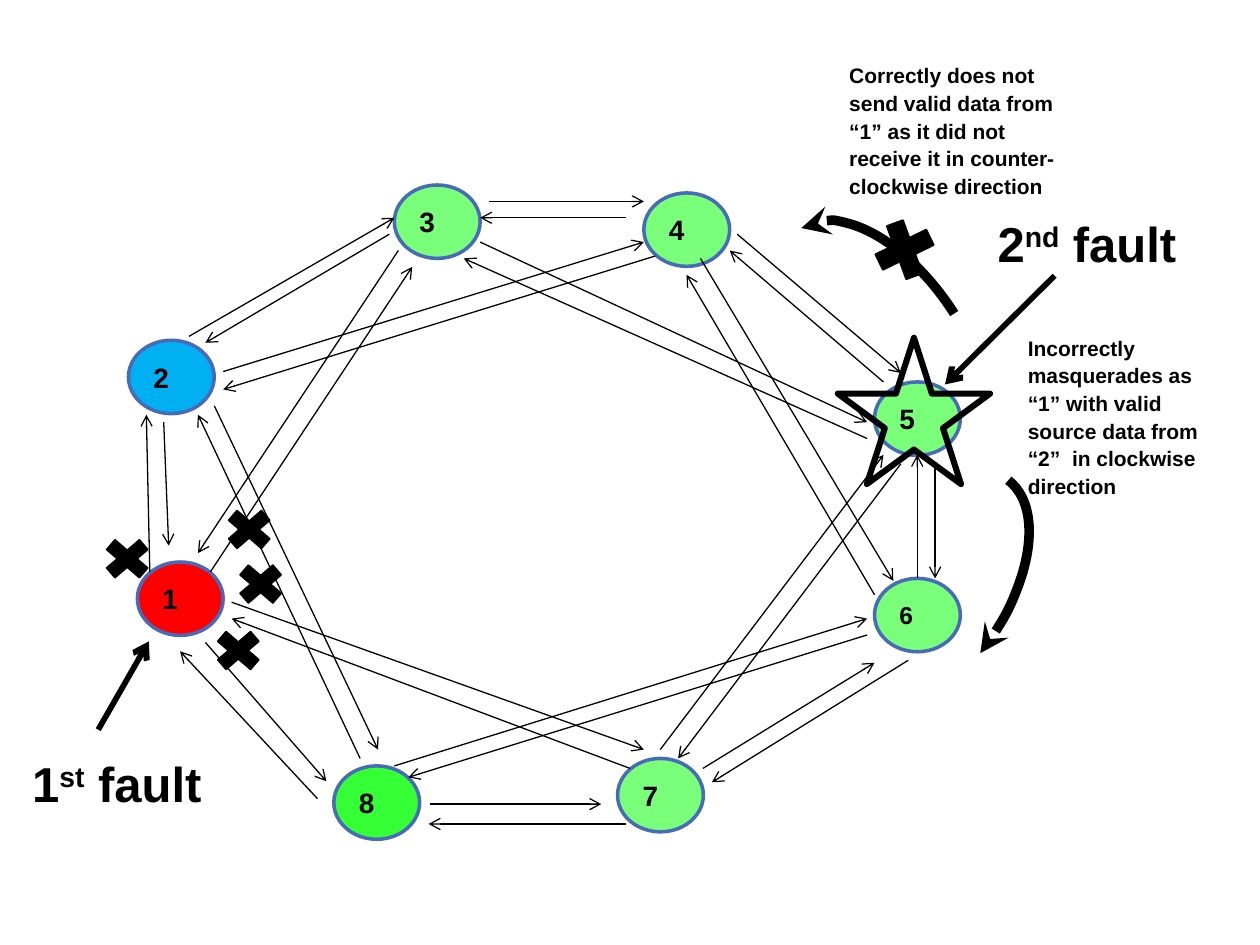
import pptx
import pptx.util
import pptx.dml.color
import pptx.enum.shapes
import pptx.enum.text
import pptx.oxml
import pptx.oxml.ns

Cm = pptx.util.Cm
Pt = pptx.util.Pt
SHAPE = pptx.enum.shapes.MSO_SHAPE
COLOURS = {
    "black": "000000", "outline": "486ABB", "red": "FF0000",
    "blue": "00B0F0", "green": "79FF79", "bright": "35FF35",
}
NODES = [
    ("1", 0.27, 7.83, "red", 16),
    ("2", 0.09, 3.36, "blue", 16),
    ("3", 5.45, 0.23, "green", 16),
    ("4", 10.48, 0.39, "green", 16),
    ("5", 15.13, 4.2, "green", 16),
    ("6", 15.13, 8.16, "green", 14),
    ("8", 4.23, 11.94, "bright", 16),
    ("7", 9.95, 11.79, "green", 16),
]
NEIGHBOUR_LINKS = [
    (1.31, 3.28, 5.45, 0.89), (5.35, 1.22, 1.64, 3.41),
    (7.36, 0.56, 10.48, 0.56), (10.12, 0.89, 7.18, 0.89),
    (12.36, 1.22, 15.66, 4.02), (15.31, 4.2, 12.21, 1.55),
    (16.35, 5.85, 16.35, 8.16), (15.99, 8.16, 15.99, 5.67),
    (15.81, 9.81, 11.85, 12.27), (11.67, 11.99, 15.13, 9.86),
    (10.12, 13.11, 6.14, 13.11), (6.16, 12.71, 9.62, 12.71),
    (3.9, 12.6, 1.13, 9.63), (1.64, 9.45, 4.08, 12.25),
    (0.52, 8.03, 0.45, 4.86), (0.8, 5.01, 0.9, 7.5),
]
SKIP_LINKS = [
    (2, 3.99, 10.48, 1.38), (10.71, 1.66, 2, 4.35),
    (1.82, 4.68, 5.12, 11.61), (4.76, 11.79, 1.49, 4.86),
    (5.53, 1.55, 1.49, 7.65), (1.74, 8.03, 5.81, 1.88),
    (2.17, 8.64, 10.48, 11.61), (10.2, 11.99, 2.17, 8.97),
    (7.18, 1.38, 14.98, 5.01), (14.98, 5.34, 6.85, 1.71),
    (11.62, 1.71, 15.51, 8.21), (15.13, 8.49, 11.34, 2.04),
    (15.66, 5.85, 11.17, 11.79), (10.81, 11.61, 15.31, 5.67),
    (14.98, 9.3, 5.73, 12.17), (5.45, 11.94, 14.98, 8.97),
]


def colour(name):
    return pptx.dml.color.RGBColor.from_string(COLOURS[name])


def add_child(parent, tag, **attributes):
    child = pptx.oxml.parse_xml(f"<a:{tag} {pptx.oxml.ns.nsdecls('a')}/>")
    for key, value in attributes.items():
        child.set(key, value)
    parent.append(child)


def write_text(para, text, size=12, raised=False):
    span = para.add_run()
    span.text = text
    span.font.name = "Arial"
    span.font.size = Pt(size)
    span.font.bold = True
    span.font.color.rgb = colour("black")
    if raised:
        span.font._element.set("baseline", "30000")


def add_shape(page, kind, box, fill=None, line="black", width=1, turn=0):
    shape = page.shapes.add_shape(kind, *map(Cm, box))
    shape.shadow.inherit = False
    shape.rotation = turn
    if fill:
        shape.fill.solid()
        shape.fill.fore_color.rgb = colour(fill)
    else:
        shape.fill.background()
    shape.line.color.rgb = colour(line)
    shape.line.width = Pt(width)
    return shape


def add_arrow(page, left, top, ends, width=0.75):
    x1, y1, x2, y2 = ends
    arrow = page.shapes.add_connector(
        pptx.enum.shapes.MSO_CONNECTOR.STRAIGHT,
        Cm(left + x1), Cm(top + y1), Cm(left + x2), Cm(top + y2))
    arrow.line.color.rgb = colour("black")
    arrow.line.width = Pt(width)
    add_child(arrow.line._get_or_add_ln(), "tailEnd", type="arrow")
    add_child(arrow._element.spPr, "effectLst")


def add_arc(page, box, turn, end):
    arc = add_shape(page, SHAPE.ARC, box, width=5.5, turn=turn)
    add_child(arc.line._get_or_add_ln(), end, type="stealth")


def add_label(page, box, paragraphs, wrap=True):
    frame = page.shapes.add_textbox(*map(Cm, box)).text_frame
    frame.word_wrap = wrap
    frame.auto_size = pptx.enum.text.MSO_AUTO_SIZE.SHAPE_TO_FIT_TEXT
    for index, spans in enumerate(paragraphs):
        para = frame.add_paragraph() if index else frame.paragraphs[0]
        para.line_spacing = 1.1
        for text, options in spans:
            write_text(para, text, **options)


def add_fault_label(page, box, number, suffix):
    spans = [(number, {"size": 28}), (suffix, {"size": 28, "raised": True}),
             (" fault", {"size": 28})]
    add_label(page, box, [spans], wrap=False)


def add_node(page, box, number, fill, size):
    node = add_shape(page, SHAPE.OVAL, box, fill, "outline", 2)
    frame = node.text_frame
    frame.vertical_anchor = pptx.enum.text.MSO_ANCHOR.MIDDLE
    para = frame.paragraphs[0]
    para.alignment = pptx.enum.text.PP_ALIGN.LEFT
    write_text(para, number, size=size)


def build_ring(page, left, top):
    for number, x, y, fill, size in NODES:
        add_node(page, (left + x, top + y, 1.73, 1.48), number, fill, size)
    for ends in NEIGHBOUR_LINKS + SKIP_LINKS:
        add_arrow(page, left, top, ends)


def build_first_fault(page, left, top):
    for x, y in [(1.53, 0.72), (3.99, 0.13), (4.22, 1.23), (3.77, 2.57)]:
        add_shape(page, SHAPE.MATH_MULTIPLY,
                  (left + x, top + y, 1.27, 1.09), "black")
    add_fault_label(page, (left, top + 4.94, 4.09, 1.57), "1", "st")
    add_arrow(page, left, top, (1.58, 4.71, 2.6, 2.93), 3.25)


def build_second_fault(page, left, top):
    add_fault_label(page, (left + 3.86, top + 3.06, 4.29, 1.68), "2", "nd")
    add_arrow(page, left, top, (5.26, 4.56, 3.05, 6.75), 3.25)
    add_label(page, (left + 4.47, top + 5.58, 4.52, 3.91), [
        [("Incorrectly masquerades as", {})],
        [("“1” with valid source data from “2”  in clockwise direction", {})],
    ])
    add_shape(page, SHAPE.STAR_5_POINT,
              (left + 0.89, top + 5.81, 3.07, 2.95), width=3.5)
    add_arc(page, (left + 0.76, top + 8.04, 3.35, 6.22), 37.5, "tailEnd")
    add_arc(page, (left + 0.15, top + 3.11, 3.35, 6.22), 327.5, "headEnd")
    add_shape(page, SHAPE.MATH_MULTIPLY,
              (left + 1.5, top + 3.22, 1.47, 1.63), "black", turn=22)
    add_label(page, (left + 0.87, top + 0.09, 5.13, 3.25), [
        [("Correctly does not send valid data from “1” as it did not "
          "receive it in counter-clockwise direction", {})],
    ])


def main():
    deck = pptx.Presentation()
    deck.slide_width = Cm(25.4)
    deck.slide_height = Cm(19.05)
    page = deck.slides.add_slide(deck.slide_layouts[6])
    build_ring(page, 2.5, 3.5)
    build_first_fault(page, 0.4, 10)
    build_second_fault(page, 16, 1)
    deck.save("out.pptx")


if __name__ == "__main__":
    main()
